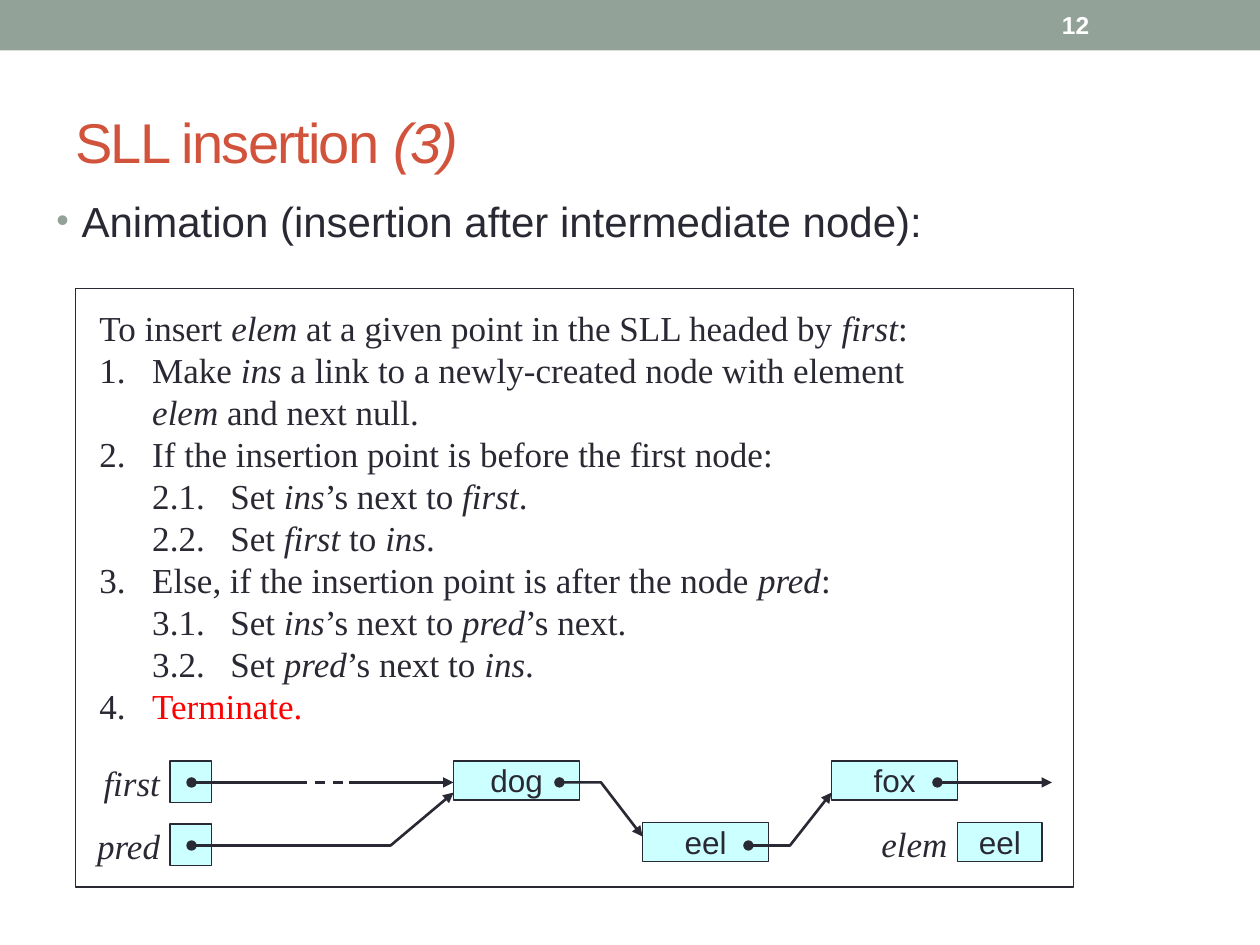
from dataclasses import dataclass

from lxml.etree import SubElement
from pptx import Presentation
from pptx.dml.color import RGBColor
from pptx.enum.dml import MSO_LINE
from pptx.enum.shapes import MSO_CONNECTOR, MSO_SHAPE
from pptx.enum.text import MSO_ANCHOR, PP_ALIGN
from pptx.oxml.ns import qn
from pptx.util import Inches, Pt

SAGE = RGBColor(0x93, 0xA2, 0x99)
INK = RGBColor(0x29, 0x29, 0x34)
RUST = RGBColor(0xD2, 0x53, 0x3C)
CYAN = RGBColor(0xCC, 0xFF, 0xFF)
RED = RGBColor(0xFF, 0x00, 0x00)
WHITE = RGBColor(0xFF, 0xFF, 0xFF)
SANS, SERIF = "Arial", "Times New Roman"

UPPER_ROW, LOWER_ROW = 6.04, 6.53
UPPER_LINK, LOWER_LINK = 6.21, 6.71
LINK_BOX = 0.33


@dataclass
class Node:
    """A box of the list diagram."""
    left: float
    top: float
    width: float
    height: float = 0.31
    text: str = ""


@dataclass
class Label:
    """An italic variable name, right-aligned beside its box."""
    text: str
    left: float
    top: float


@dataclass
class Link:
    """A pointer drawn through the given points."""
    points: list[tuple[float, float]]
    head: bool = True
    tail: bool = True
    dashed: bool = False


@dataclass
class Step:
    """A line of the algorithm; asterisks switch italics on and off."""
    text: str
    margin: float = 0.42
    hanging: float = 0.42
    color: RGBColor = INK


NODES = [
    Node(1.35, UPPER_ROW, LINK_BOX, LINK_BOX),
    Node(1.35, 6.54, LINK_BOX, LINK_BOX),
    Node(3.6, UPPER_ROW, 1, text="dog"),
    Node(6.6, UPPER_ROW, 1, text="fox"),
    Node(5.1, LOWER_ROW, 1, text="eel"),
    Node(7.6, LOWER_ROW, 0.67, text="eel"),
]
LABELS = [
    Label("first", 0.69, UPPER_ROW),
    Label("pred", 0.69, 6.54),
    Label("elem", 6.94, LOWER_ROW),
]
LINKS = [
    Link([(1.52, UPPER_LINK), (2.35, UPPER_LINK)], tail=False),
    Link([(2.35, UPPER_LINK), (2.77, UPPER_LINK)], False, False, True),
    Link([(2.77, UPPER_LINK), (3.6, UPPER_LINK)], head=False),
    Link([(7.44, UPPER_LINK), (8.35, UPPER_LINK)]),
    Link([(4.44, UPPER_LINK), (4.77, UPPER_LINK), (5.1, 6.64)]),
    Link([(5.94, LOWER_LINK), (6.27, LOWER_LINK), (6.6, 6.29)]),
    Link([(1.52, LOWER_LINK), (3.1, LOWER_LINK), (3.6, 6.29)]),
]
SUBSTEP = (1.04, 0.62)
STEPS = [
    Step("To insert *elem* at a given point in the SLL headed by *first*:", 0, 0),
    Step("1.\tMake *ins* a link to a newly-created node with element\v*elem* and next null."),
    Step("2.\tIf the insertion point is before the first node:"),
    Step("2.1.\tSet *ins*’s next to *first*.", *SUBSTEP),
    Step("2.2.\tSet *first* to *ins*.", *SUBSTEP),
    Step("3.\tElse, if the insertion point is after the node *pred*:"),
    Step("3.1.\tSet *ins*’s next to *pred*’s next.", *SUBSTEP),
    Step("3.2.\tSet *pred*’s next to *ins*.", *SUBSTEP),
    Step("4.\t*Terminate.*", color=RED),
]


def add_run(paragraph, text: str, font: str, size: float, color: RGBColor,
            italic: bool = False, bold: bool = False):
    """Append a formatted run to a paragraph."""
    run = paragraph.add_run()
    run.text = text
    run.font.name, run.font.size = font, Pt(size)
    run.font.color.rgb = color
    run.font.italic, run.font.bold = italic, bold
    return run


def add_text_frame(slide, left: float, top: float, width: float, height: float,
                   anchor: MSO_ANCHOR = MSO_ANCHOR.TOP):
    """Add a wrapping text box and return its text frame."""
    box = slide.shapes.add_textbox(Inches(left), Inches(top), Inches(width), Inches(height))
    box.text_frame.word_wrap = True
    box.text_frame.vertical_anchor = anchor
    return box.text_frame


def clear_insets(text_frame) -> None:
    """Remove the inner margins of a text frame."""
    text_frame.margin_left = text_frame.margin_right = 0
    text_frame.margin_top = text_frame.margin_bottom = 0


def add_box(slide, node: Node, fill: RGBColor, outlined: bool = True) -> None:
    """Draw a rectangle with optional centred text."""
    shape = slide.shapes.add_shape(MSO_SHAPE.RECTANGLE, Inches(node.left), Inches(node.top),
                                   Inches(node.width), Inches(node.height))
    shape.shadow.inherit = False
    shape.fill.solid()
    shape.fill.fore_color.rgb = fill
    if outlined:
        shape.line.color.rgb = INK
        shape.line.width = Pt(0.75)
    else:
        shape.line.fill.background()
    if node.text:
        clear_insets(shape.text_frame)
        shape.text_frame.vertical_anchor = MSO_ANCHOR.TOP
        paragraph = shape.text_frame.paragraphs[0]
        paragraph.alignment = PP_ALIGN.CENTER
        paragraph.line_spacing = Pt(21.6)
        add_run(paragraph, node.text, SANS, 18, INK)


def add_label(slide, label: Label) -> None:
    """Write a variable name."""
    text_frame = add_text_frame(slide, label.left, label.top, 0.58, LINK_BOX)
    clear_insets(text_frame)
    paragraph = text_frame.paragraphs[0]
    paragraph.alignment = PP_ALIGN.RIGHT
    paragraph.line_spacing = Pt(24)
    add_run(paragraph, label.text, SERIF, 20, INK, italic=True)


def add_link(slide, link: Link) -> None:
    """Draw a straight link as a connector, a bent one as an open outline."""
    points = [(Inches(x), Inches(y)) for x, y in link.points]
    if len(points) == 2:
        shape = slide.shapes.add_connector(MSO_CONNECTOR.STRAIGHT, *points[0], *points[1])
    else:
        builder = slide.shapes.build_freeform(*points[0])
        builder.add_line_segments(points[1:], close=False)
        shape = builder.convert_to_shape()
        shape.fill.background()
    shape.line.color.rgb = INK
    shape.line.width = Pt(1.5)
    if link.dashed:
        shape.line.dash_style = MSO_LINE.DASH
    properties = shape._element.spPr
    line = properties.find(qn("a:ln"))
    if link.head:
        SubElement(line, qn("a:headEnd"), type="oval")
    if link.tail:
        SubElement(line, qn("a:tailEnd"), type="triangle")
    SubElement(properties, qn("a:effectLst"))


def add_steps(slide, steps: list[Step]) -> None:
    """Write the algorithm with hanging numbers."""
    text_frame = add_text_frame(slide, 0.69, 2.38, 6.83, 3.43)
    for index, step in enumerate(steps):
        paragraph = text_frame.add_paragraph() if index else text_frame.paragraphs[0]
        paragraph.line_spacing = Pt(24)
        set_indent(paragraph, step.margin, step.hanging)
        for part, text in enumerate(step.text.split("*")):
            marked = part % 2 == 1
            for row, piece in enumerate(text.split("\v")):
                if row:
                    paragraph.add_line_break()
                if piece:
                    add_run(paragraph, piece, SERIF, 20, step.color if marked else INK,
                            italic=marked and step.color == INK)


def set_indent(paragraph, margin: float, hanging: float) -> None:
    """Set the left margin and the hanging first line."""
    properties = paragraph._p.get_or_add_pPr()
    properties.set("marL", str(Inches(margin)))
    properties.set("indent", str(-Inches(hanging)))


def add_headings(slide) -> None:
    """Write the slide number, title and bullet line."""
    number = add_text_frame(slide, 8.33, 0.02, 1.17, 0.36, MSO_ANCHOR.MIDDLE).paragraphs[0]
    add_run(number, "12", SANS, 14, WHITE, bold=True)

    title = add_text_frame(slide, 0.5, 0.58, 9, 1.08, MSO_ANCHOR.MIDDLE).paragraphs[0]
    for text, italic in (("SLL insertion ", False), ("(3)", True)):
        run = add_run(title, text, SANS, 32, RUST, italic)
        run._r.get_or_add_rPr().set("spc", "-100")

    bullet = add_text_frame(slide, 0.35, 1.5, 8.33, 0.6).paragraphs[0]
    bullet.space_before = Pt(4.8)
    set_indent(bullet, 0.2, 0.2)
    properties = bullet._p.get_or_add_pPr()
    SubElement(SubElement(properties, qn("a:buClr")), qn("a:srgbClr"), val=str(SAGE))
    SubElement(properties, qn("a:buSzPct"), val="85000")
    SubElement(properties, qn("a:buFont"), typeface=SANS)
    SubElement(properties, qn("a:buChar"), char="•")
    add_run(bullet, "Animation (insertion after intermediate node):", SANS, 24, INK)


presentation = Presentation()
presentation.slide_width, presentation.slide_height = Inches(10), Inches(7.5)
slide = presentation.slides.add_slide(presentation.slide_layouts[6])
add_box(slide, Node(0, 0, 10, 0.4), SAGE, outlined=False)
add_box(slide, Node(0.6, 2.29, 7.92, 4.75), WHITE)
add_headings(slide)
add_steps(slide, STEPS)
for node in NODES:
    add_box(slide, node, CYAN)
for label in LABELS:
    add_label(slide, label)
for link in LINKS:
    add_link(slide, link)
presentation.save("out.pptx")
